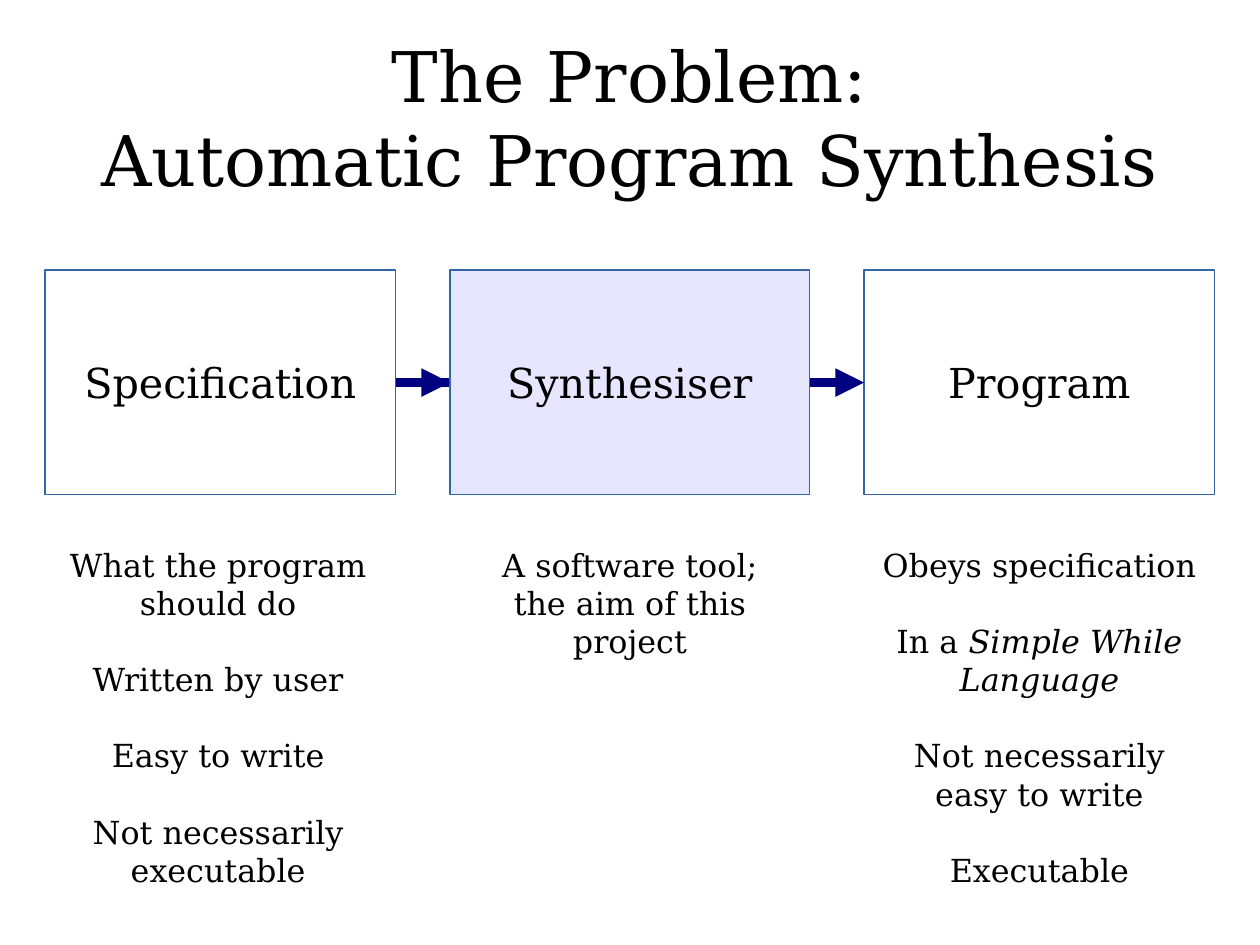
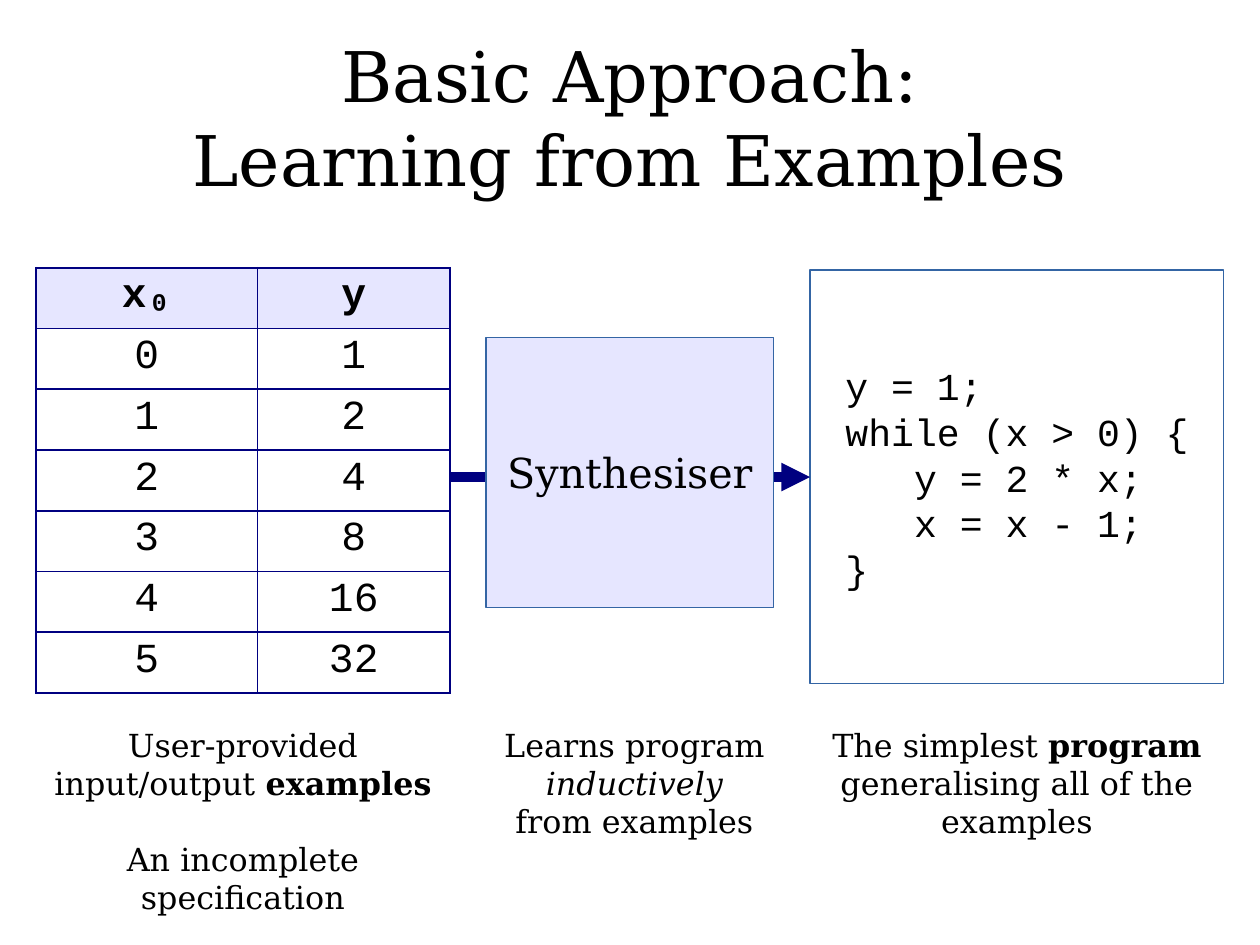
from dataclasses import dataclass

from lxml import etree
from pptx import Presentation
from pptx.dml.color import RGBColor
from pptx.enum.shapes import MSO_CONNECTOR, MSO_SHAPE
from pptx.enum.text import MSO_ANCHOR, PP_ALIGN
from pptx.oxml.ns import qn
from pptx.util import Emu, Pt

RECT, LINE = MSO_SHAPE.RECTANGLE, MSO_CONNECTOR.STRAIGHT
LEFT, CENTER, MIDDLE = PP_ALIGN.LEFT, PP_ALIGN.CENTER, MSO_ANCHOR.MIDDLE
SCALE = 9000  # EMU in one px, 40 px to the centimetre
EAST, WEST = 3, 1


@dataclass(frozen=True)
class Theme:
    ink: str = "000000"
    paper: str = "FFFFFF"
    tint: str = "E6E6FF"
    edge: str = "3465A4"
    navy: str = "000080"
    serif: str = "DejaVu Serif"
    mono: str = "Courier New"
    title: int = 44
    label: int = 26
    code: int = 24
    note: int = 20
    gap: int = 24
    arrow: int = 6
    rule: float = 1.13


T = Theme()

# Content: a note is a list of blocks, each a list of runs;
# a run is plain text, text with its style, or "\n" for a new line
PROBLEM = {
    "title": "The Problem:\vAutomatic Program Synthesis",
    "labels": ["Specification", "Synthesiser", "Program"],
    "notes": [
        [["What the program should do"], ["Written by user"],
         ["Easy to write"], ["Not necessarily executable"]],
        [["A software tool;", "\n", "the aim of this project"]],
        [["Obeys specification"],
         ["In a ", ("Simple While Language", "i")],
         ["Not necessarily easy to write"], ["Executable"]],
    ],
    "boxes": [(40, 312), (400, 320), (768, 312)],
    "cols": [(36, 316), (400, 320), (768, 312)],
}
BASIC = {
    "title": "Basic Approach:\vLearning from Examples",
    "label": "Synthesiser",
    "rows": [("x₀", "y"), (0, 1), (1, 2), (2, 4), (3, 8), (4, 16), (5, 32)],
    "code": ["y = 1;", "while (x > 0) {", "   y = 2 * x;",
             "   x = x - 1;", "}"],
    "notes": [
        [["User-provided input/output ", ("examples", "b")],
         ["An incomplete specification"]],
        [["Learns program ", ("inductively", "i"), "\n", "from examples"]],
        [["The simplest ", ("program", "b"),
          " generalising all of the examples"]],
    ],
    "cols": [(32, 368), (432, 264), (720, 368)],
}


def px(*vals):
    return [Emu(v * SCALE) for v in vals]


def rgb(code):
    return RGBColor.from_string(code)


def style(para, size, face=T.serif, align=CENTER):
    para.alignment = align
    font = para.font
    font.size, font.name = Pt(size), face
    font.color.rgb = rgb(T.ink)


def start(deck, text):
    """Add a slide with its title."""
    slide = deck.slides.add_slide(deck.slide_layouts[5])
    head = slide.shapes.title
    head.left, head.top, head.width, head.height = px(56, 31, 1008, 145)
    frame = head.text_frame
    frame.margin_left = frame.margin_right = 0
    frame.margin_top = frame.margin_bottom = 0
    frame.vertical_anchor = MIDDLE
    frame.text = text
    style(frame.paragraphs[0], T.title)
    return slide


def box(slide, area, lines, fill=T.paper, size=T.label, face=T.serif,
        align=CENTER):
    shape = slide.shapes.add_shape(RECT, *px(*area))
    shape.shadow.inherit = False
    shape.fill.solid()
    shape.fill.fore_color.rgb = rgb(fill)
    shape.line.color.rgb = rgb(T.edge)
    shape.line.width = 0
    frame = shape.text_frame
    frame.word_wrap = False
    frame.vertical_anchor = MIDDLE
    # Centre the text block as a whole, whatever its alignment
    frame._txBody.bodyPr.set("anchorCtr", "1")
    frame.text = "\n".join(lines)
    for para in frame.paragraphs:
        style(para, size, face, align)
    return shape


def arrow(slide, head, tail=None, at=(0, 0)):
    """Point to the left side of head, from the right of tail or a place."""
    x, y = px(*at)
    link = slide.shapes.add_connector(LINE, x, y, x, y)
    if tail is not None:
        link.begin_connect(tail, EAST)
    link.end_connect(head, WEST)
    link.line.color.rgb = rgb(T.navy)
    link.line.width = Pt(T.arrow)
    line = link.line._get_or_add_ln()
    etree.SubElement(line, qn("a:tailEnd"), type="triangle")
    etree.SubElement(link._element.spPr, qn("a:effectLst"))


def notes(slide, cols, top, high, texts):
    """Put one centred note under each column."""
    for (left, wide), blocks in zip(cols, texts):
        frame = slide.shapes.add_textbox(*px(left, top, wide, high)).text_frame
        frame.word_wrap = True
        for i, runs in enumerate(blocks):
            para = frame.add_paragraph() if i else frame.paragraphs[0]
            style(para, T.note)
            if i:
                para.space_before = Pt(T.gap)
            for item in runs:
                if item == "\n":
                    para = frame.add_paragraph()
                    style(para, T.note)
                    continue
                text, kind = (item, "") if isinstance(item, str) else item
                run = para.add_run()
                run.text = text
                if kind == "b":
                    run.font.bold = True
                elif kind == "i":
                    run.font.italic = True


def border(cell):
    props = cell._tc.get_or_add_tcPr()
    for i, side in enumerate(("a:lnL", "a:lnR", "a:lnT", "a:lnB")):
        line = etree.Element(qn(side), w=str(Pt(T.rule)))
        fill = etree.SubElement(line, qn("a:solidFill"))
        etree.SubElement(fill, qn("a:srgbClr"), val=T.navy)
        props.insert(i, line)


def grid(slide, left, top, wides, high, rows):
    area = px(left, top, sum(wides), high * len(rows))
    table = slide.shapes.add_table(len(rows), len(wides), *area).table
    for col, wide in zip(table.columns, px(*wides)):
        col.width = wide
    for r, row in enumerate(rows):
        for c, value in enumerate(row):
            cell = table.cell(r, c)
            cell.fill.solid()
            cell.fill.fore_color.rgb = rgb(T.paper if r else T.tint)
            cell.text = str(value)
            para = cell.text_frame.paragraphs[0]
            style(para, T.label, T.mono)
            para.font.bold = r == 0
            border(cell)


def problem(deck):
    slide = start(deck, PROBLEM["title"])
    areas = [(left, 240, wide, 200) for left, wide in PROBLEM["boxes"]]
    spec, synth, prog = PROBLEM["labels"]
    first = box(slide, areas[0], [spec])
    last = box(slide, areas[2], [prog])
    # The long arrow runs behind the middle box
    arrow(slide, last, first)
    mid = box(slide, areas[1], [synth], T.tint)
    arrow(slide, mid, first)
    notes(slide, PROBLEM["cols"], 480, 328, PROBLEM["notes"])


def basic(deck):
    slide = start(deck, BASIC["title"])
    code = box(slide, (720, 240, 368, 368), BASIC["code"],
               size=T.code, face=T.mono, align=LEFT)
    # The arrow runs from the table, behind the middle box
    arrow(slide, code, at=(400, 424))
    box(slide, (432, 300, 256, 240), [BASIC["label"]], T.tint)
    grid(slide, 32, 238, (197, 171), 54, BASIC["rows"])
    notes(slide, BASIC["cols"], 640, 208, BASIC["notes"])


def main():
    deck = Presentation()
    deck.slide_width, deck.slide_height = px(1120, 840)
    problem(deck)
    basic(deck)
    deck.save("out.pptx")


if __name__ == "__main__":
    main()
